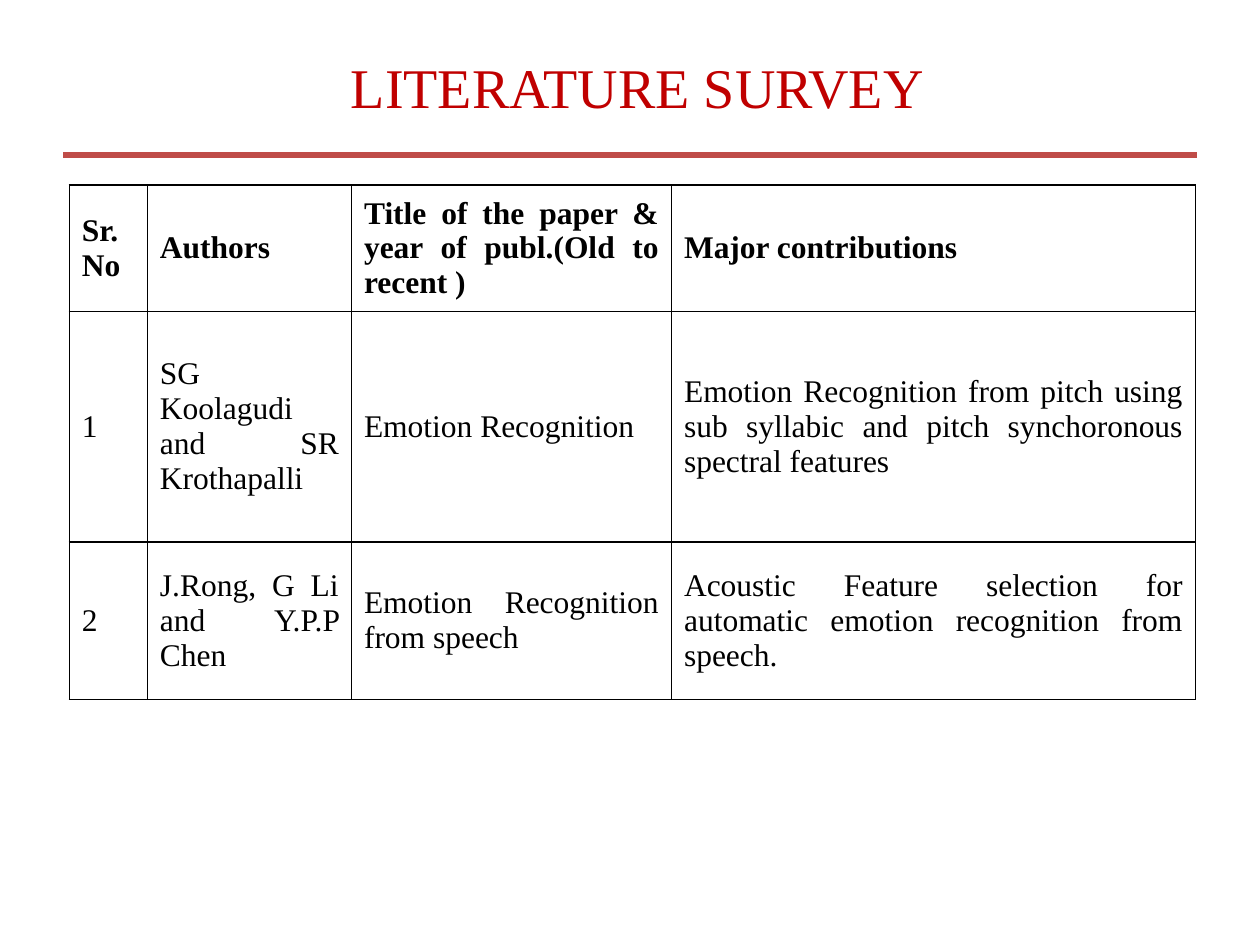
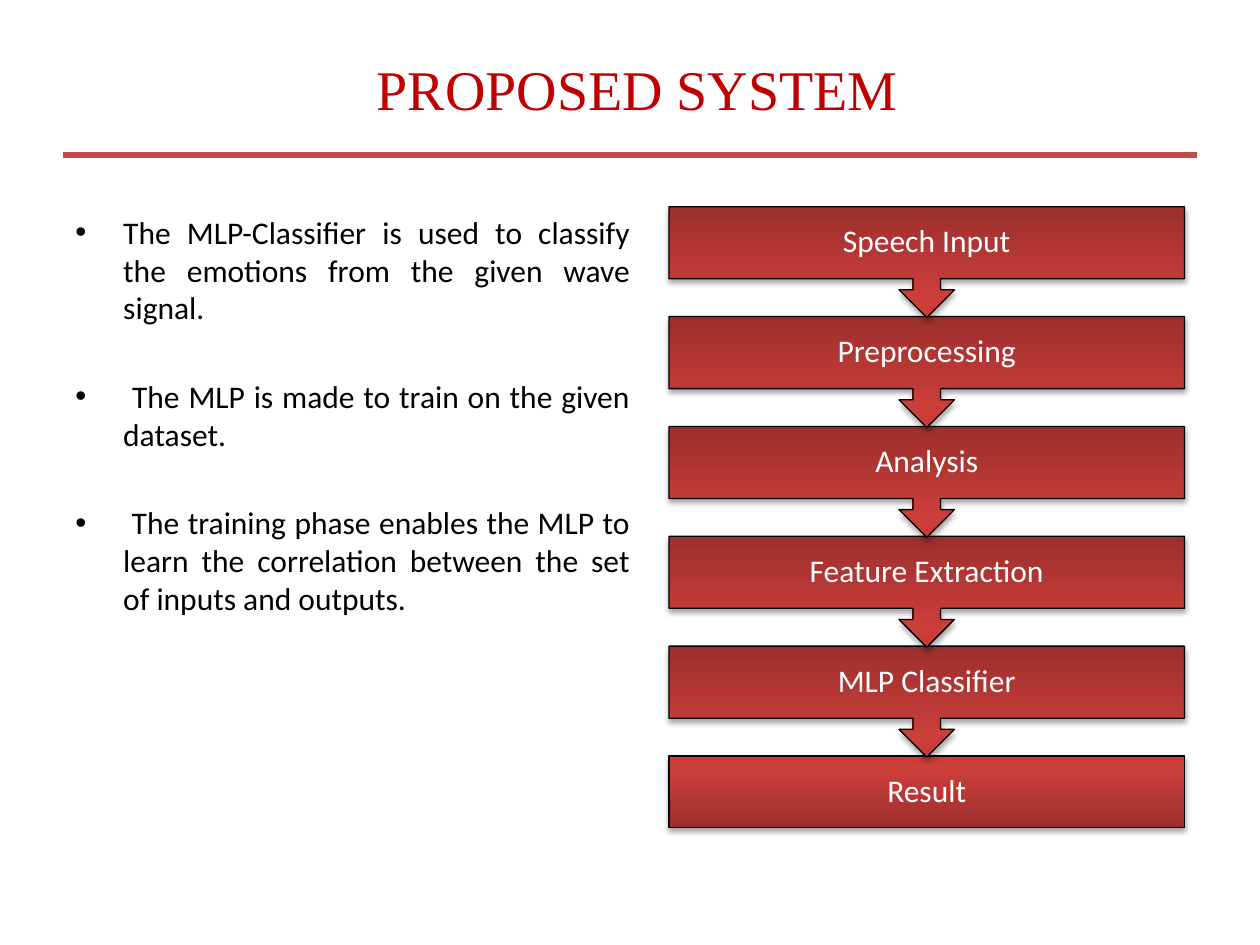
from copy import deepcopy
from dataclasses import dataclass

from lxml.etree import SubElement
from pptx import Presentation
from pptx.dml.color import RGBColor
from pptx.enum.shapes import MSO_CONNECTOR, MSO_SHAPE
from pptx.enum.text import MSO_ANCHOR, PP_ALIGN
from pptx.oxml.ns import qn
from pptx.util import Inches, Pt


@dataclass(frozen=True)
class Theme:
    title_color: str = "C00000"
    rule_color: str = "BF4C48"
    ink: str = "000000"
    paper: str = "FFFFFF"
    gradient: tuple = ((0, "9C2F2D"), (0.8, "CB3E3A"), (1, "CE3B37"))
    serif: str = "Times New Roman"
    sans: str = "Calibri"
    title_size: int = 32
    body_size: int = 18


@dataclass(frozen=True)
class Box:
    left: float
    top: float
    width: float
    height: float

    def lengths(self) -> tuple:
        return tuple(Inches(n) for n in (self.left, self.top, self.width, self.height))


@dataclass(frozen=True)
class FlowStep:
    label: str
    top: float
    is_last: bool


THEME = Theme()

SURVEY_COLUMNS = (0.62, 1.62, 2.54, 4.16)
SURVEY_ROW_HEIGHTS = (0.96, 1.83, 1.25)
SURVEY_ROWS = (
    ("Sr. No", "Authors", "Title of the paper & year of publ.(Old to recent )", "Major contributions"),
    ("1", "SG Koolagudi and SR Krothapalli", "Emotion Recognition",
     "Emotion Recognition from pitch using sub syllabic and pitch synchoronous spectral features"),
    ("2", "J.Rong, G Li and Y.P.P Chen", "Emotion Recognition from speech",
     "Acoustic Feature selection for automatic emotion recognition from speech."),
)

SYSTEM_POINTS = (
    "The MLP-Classifier is used to classify the emotions from the given wave signal.",
    " The MLP is made to train on the given dataset.",
    " The training phase enables the MLP to learn the correlation between the set of inputs and outputs.",
)

FLOW_LABELS = ("Speech Input", "Preprocessing", "Analysis", "Feature Extraction", "MLP Classifier", "Result")
FLOW_LEFT, FLOW_WIDTH = 5.31, 4.09
FLOW_TOP, FLOW_LAST_TOP = 1.64, 6
STEP_HEIGHT, CALLOUT_HEIGHT = 0.57, 0.88


def style_paragraph(paragraph, font_name: str, size: int, color: str, alignment, bold: bool = False) -> None:
    paragraph.alignment = alignment
    font = paragraph.font
    font.name, font.size, font.bold = font_name, Pt(size), bold
    font.color.rgb = RGBColor.from_string(color)


def add_text_frame(slide, box: Box, anchor):
    frame = slide.shapes.add_textbox(*box.lengths()).text_frame
    frame.word_wrap = True
    frame.vertical_anchor = anchor
    return frame


def add_titled_slide(presentation, title: str, title_top: float):
    slide = presentation.slides.add_slide(presentation.slide_layouts[6])
    frame = add_text_frame(slide, Box(0.56, title_top, 9, 1.26), MSO_ANCHOR.MIDDLE)
    frame.text = title
    style_paragraph(frame.paragraphs[0], THEME.serif, THEME.title_size, THEME.title_color, PP_ALIGN.CENTER)
    rule = slide.shapes.add_connector(
        MSO_CONNECTOR.STRAIGHT, Inches(0.5), Inches(1.23), Inches(9.5), Inches(1.23))
    rule.line.color.rgb = RGBColor.from_string(THEME.rule_color)
    rule.line.width = Pt(3.5)
    SubElement(rule._element.spPr, qn("a:effectLst"))
    return slide


def add_borders(cell) -> None:
    properties = cell._tc.get_or_add_tcPr()
    for side in ("lnL", "lnR", "lnT", "lnB"):
        line = SubElement(properties, qn(f"a:{side}"), w=str(Pt(1)))
        fill = SubElement(line, qn("a:solidFill"))
        SubElement(fill, qn("a:srgbClr"), val=THEME.ink)


def add_survey_table(slide) -> None:
    box = Box(0.55, 1.47, sum(SURVEY_COLUMNS), sum(SURVEY_ROW_HEIGHTS))
    table = slide.shapes.add_table(len(SURVEY_ROWS), len(SURVEY_COLUMNS), *box.lengths()).table
    table.first_row = table.horz_banding = False
    for column, width in zip(table.columns, SURVEY_COLUMNS):
        column.width = Inches(width)
    for row_index, (row, height) in enumerate(zip(table.rows, SURVEY_ROW_HEIGHTS)):
        row.height = Inches(height)
        for cell, text in zip(row.cells, SURVEY_ROWS[row_index]):
            cell.text = text
            cell.vertical_anchor = MSO_ANCHOR.MIDDLE
            style_paragraph(cell.text_frame.paragraphs[0], THEME.serif, THEME.body_size,
                            THEME.ink, PP_ALIGN.JUSTIFY, bold=row_index == 0)
            add_borders(cell)
            cell.fill.solid()
            cell.fill.fore_color.rgb = RGBColor.from_string(THEME.paper)


def add_system_points(slide) -> None:
    frame = add_text_frame(slide, Box(0.5, 1.64, 4.6, 5.06), MSO_ANCHOR.TOP)
    for index, point in enumerate(SYSTEM_POINTS):
        paragraph = frame.add_paragraph() if index else frame.paragraphs[0]
        paragraph.text = point
        style_paragraph(paragraph, THEME.sans, THEME.body_size, THEME.ink, PP_ALIGN.JUSTIFY)
        if index:
            paragraph.space_before = Pt(29)
        properties = paragraph._p.get_or_add_pPr()
        properties.set("marL", str(Inches(0.38)))
        properties.set("indent", str(-Inches(0.38)))
        bullet_font = SubElement(properties, qn("a:buFont"), typeface="Arial")
        bullet_font.addnext(SubElement(properties, qn("a:buChar"), char="•"))
        properties.append(properties.find(qn("a:defRPr")))


def apply_gradient(shape) -> None:
    shape.fill.gradient()
    shape.fill.gradient_angle = 90
    first_stop = shape._element.spPr.find(".//" + qn("a:gs"))
    first_stop.addnext(deepcopy(first_stop))
    for stop, (position, color) in zip(shape.fill.gradient_stops, THEME.gradient):
        stop.position = position
        stop.color.rgb = RGBColor.from_string(color)


def apply_shadow(shape) -> None:
    shape.shadow.inherit = False
    effects = shape._element.spPr.find(qn("a:effectLst"))
    shadow = SubElement(effects, qn("a:outerShdw"), blurRad=str(Pt(3.1)), dist=str(Pt(1.8)),
                        dir="5400000", rotWithShape="0")
    color = SubElement(shadow, qn("a:srgbClr"), val=THEME.ink)
    SubElement(color, qn("a:alpha"), val="35000")


def add_flow_step(slide, step: FlowStep) -> None:
    kind = MSO_SHAPE.RECTANGLE if step.is_last else MSO_SHAPE.UP_ARROW_CALLOUT
    height = STEP_HEIGHT if step.is_last else CALLOUT_HEIGHT
    shape = slide.shapes.add_shape(kind, *Box(FLOW_LEFT, step.top, FLOW_WIDTH, height).lengths())
    shape.rotation = 0 if step.is_last else 180
    apply_gradient(shape)
    shape.line.color.rgb = RGBColor.from_string(THEME.ink)
    shape.line.width = Pt(0.75)
    apply_shadow(shape)
    frame = add_text_frame(slide, Box(FLOW_LEFT, step.top, FLOW_WIDTH, STEP_HEIGHT), MSO_ANCHOR.MIDDLE)
    frame.margin_left = frame.margin_right = frame.margin_top = frame.margin_bottom = Inches(0.14)
    frame.text = step.label
    paragraph = frame.paragraphs[0]
    style_paragraph(paragraph, THEME.sans, THEME.body_size, THEME.paper, PP_ALIGN.CENTER)
    paragraph.line_spacing = 0.9


def add_flow(slide) -> None:
    last = len(FLOW_LABELS) - 1
    pitch = (FLOW_LAST_TOP - FLOW_TOP) / last
    for index in range(last, -1, -1):
        add_flow_step(slide, FlowStep(FLOW_LABELS[index], FLOW_TOP + index * pitch, index == last))


def main() -> None:
    presentation = Presentation()
    presentation.slide_width, presentation.slide_height = Inches(10), Inches(7.5)
    add_survey_table(add_titled_slide(presentation, "LITERATURE SURVEY", 0.05))
    system_slide = add_titled_slide(presentation, "PROPOSED SYSTEM", 0.07)
    add_system_points(system_slide)
    add_flow(system_slide)
    presentation.save("out.pptx")


if __name__ == "__main__":
    main()
